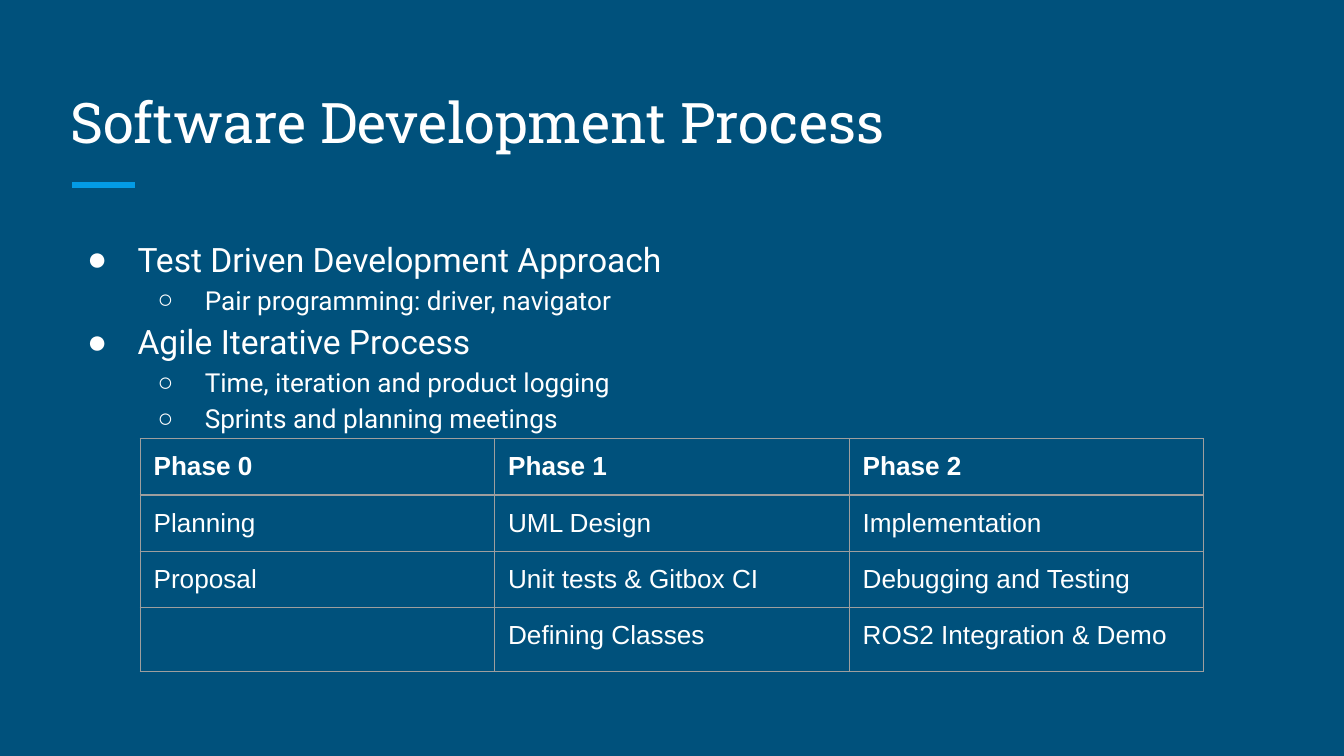
from dataclasses import dataclass

from lxml import etree
from pptx import Presentation
from pptx.dml.color import RGBColor
from pptx.enum.shapes import MSO_CONNECTOR
from pptx.enum.text import MSO_ANCHOR, MSO_AUTO_SIZE, PP_ALIGN
from pptx.oxml.ns import qn
from pptx.util import Inches, Pt

STRAIGHT = MSO_CONNECTOR.STRAIGHT
TOP, BOTTOM = MSO_ANCHOR.TOP, MSO_ANCHOR.BOTTOM
LEFT = PP_ALIGN.LEFT
NO_AUTOFIT = MSO_AUTO_SIZE.NONE

# The grid: square units of a tenth of an inch, on a 16:9 slide
COLUMNS, ROWS = 100, 56.25
UNIT = Inches(0.1)


@dataclass(frozen=True)
class Theme:
    background: str = "00517C"
    text: str = "FFFFFF"
    accent: str = "039BE5"
    border: str = "9E9E9E"
    title_font: str = "Roboto Slab"
    body_font: str = "Roboto"
    bullet_font: str = "Arial"
    table_font: str = "Arial"
    title_size: int = 30
    point_size: int = 18
    detail_size: int = 14
    accent_width: float = 3
    border_width: float = 0.75
    line_spacing: float = 1.15


def grid(*lengths):
    """Turn columns and rows of the grid into slide lengths."""
    return [round(length * UNIT) for length in lengths]


class SlideBuilder:
    # Bullet sign, text indent and hanging indent for each level
    BULLETS = (("●", 5, -3.75), ("○", 10, -3.5))

    def __init__(self, theme, slide):
        self.theme = theme
        self.slide = slide
        fill = slide.background.fill
        fill.solid()
        fill.fore_color.rgb = RGBColor.from_string(theme.background)

    def style(self, paragraph, font_name, size, bold=False):
        font = paragraph.font
        font.name, font.size, font.bold = font_name, Pt(size), bold
        font.color.rgb = RGBColor.from_string(self.theme.text)
        paragraph.alignment = LEFT

    def frame(self, text_frame, anchor):
        text_frame.word_wrap = True
        text_frame.auto_size = NO_AUTOFIT
        text_frame.vertical_anchor = anchor
        text_frame.margin_left = text_frame.margin_right = UNIT
        text_frame.margin_top = text_frame.margin_bottom = UNIT

    def title(self, text, *box):
        title = self.slide.shapes.title
        title.left, title.top, title.width, title.height = grid(*box)
        self.frame(title.text_frame, BOTTOM)
        title.text_frame.text = text
        self.style(title.text_frame.paragraphs[0],
                   self.theme.title_font, self.theme.title_size)

    def rule(self, left, right, row):
        rule = self.slide.shapes.add_connector(
            STRAIGHT, *grid(left, row, right, row))
        rule.line.color.rgb = RGBColor.from_string(self.theme.accent)
        rule.line.width = Pt(self.theme.accent_width)
        etree.SubElement(rule._element.spPr, qn("a:effectLst"))

    def bullets(self, points, *box):
        body = self.slide.shapes.add_textbox(*grid(*box)).text_frame
        self.frame(body, TOP)
        sizes = self.theme.point_size, self.theme.detail_size
        for index, (level, text) in enumerate(points):
            paragraph = body.add_paragraph() if index else body.paragraphs[0]
            paragraph.text = text
            paragraph.level = level
            paragraph.line_spacing = self.theme.line_spacing
            self.style(paragraph, self.theme.body_font, sizes[level])
            self.bullet(paragraph, *self.BULLETS[level])

    def bullet(self, paragraph, sign, margin, indent):
        properties = paragraph._p.get_or_add_pPr()
        margin, indent = grid(margin, indent)
        properties.set("marL", str(margin))
        properties.set("indent", str(indent))
        color = etree.SubElement(properties, qn("a:buClr"))
        etree.SubElement(color, qn("a:srgbClr"), val=self.theme.text)
        etree.SubElement(properties, qn("a:buFont"),
                         typeface=self.theme.bullet_font)
        etree.SubElement(properties, qn("a:buChar"), char=sign)
        # The schema wants the default run properties last
        for defaults in properties.findall(qn("a:defRPr")):
            properties.append(defaults)

    def table(self, records, left, top, column_width, row_heights):
        column_count = len(records[0])
        table = self.slide.shapes.add_table(
            len(records), column_count,
            *grid(left, top, column_width * column_count, sum(row_heights)),
        ).table
        table.horz_banding = False
        for column in table.columns:
            column.width, = grid(column_width)
        for row, height, record in zip(table.rows, row_heights, records):
            row.height, = grid(height)
            for cell, text in zip(row.cells, record):
                self.cell(cell, text, bold=record is records[0])

    def cell(self, cell, text, bold):
        cell.text = text
        cell.margin_left = cell.margin_right = UNIT
        cell.margin_top = cell.margin_bottom = UNIT
        cell.vertical_anchor = TOP
        self.style(cell.text_frame.paragraphs[0],
                   self.theme.table_font, self.theme.detail_size, bold)
        properties = cell._tc.get_or_add_tcPr()
        for side in ("lnL", "lnR", "lnT", "lnB"):
            border = etree.SubElement(properties, qn(f"a:{side}"),
                                      w=str(Pt(self.theme.border_width)))
            fill = etree.SubElement(border, qn("a:solidFill"))
            etree.SubElement(fill, qn("a:srgbClr"), val=self.theme.border)
        cell.fill.background()


POINTS = (
    (0, "Test Driven Development Approach"),
    (1, "Pair programming: driver, navigator"),
    (0, "Agile Iterative Process"),
    (1, "Time, iteration and product logging"),
    (1, "Sprints and planning meetings"),
)

PHASES = (
    ("Phase 0", "Phase 1", "Phase 2"),
    ("Planning", "UML Design", "Implementation"),
    ("Proposal", "Unit tests & Gitbox CI", "Debugging and Testing"),
    ("", "Defining Classes", "ROS2 Integration & Demo"),
)


def main():
    deck = Presentation()
    deck.slide_width, deck.slide_height = grid(COLUMNS, ROWS)
    title_only = deck.slide_layouts.get_by_name("Title Only")
    builder = SlideBuilder(Theme(), deck.slides.add_slide(title_only))

    # Heading with its accent rule
    builder.rule(5.36, 10.04, 13.76)
    builder.title("Software Development Process", 4.25, 5, 91.5, 7.5)

    # Working methods, then the phases of the project
    builder.bullets(POINTS, 4.25, 16.33, 91.5, 33.7)
    builder.table(PHASES, 10.43, 32.63, 26.38, (4.2, 4.2, 4.2, 4.75))

    deck.save("out.pptx")


if __name__ == "__main__":
    main()
